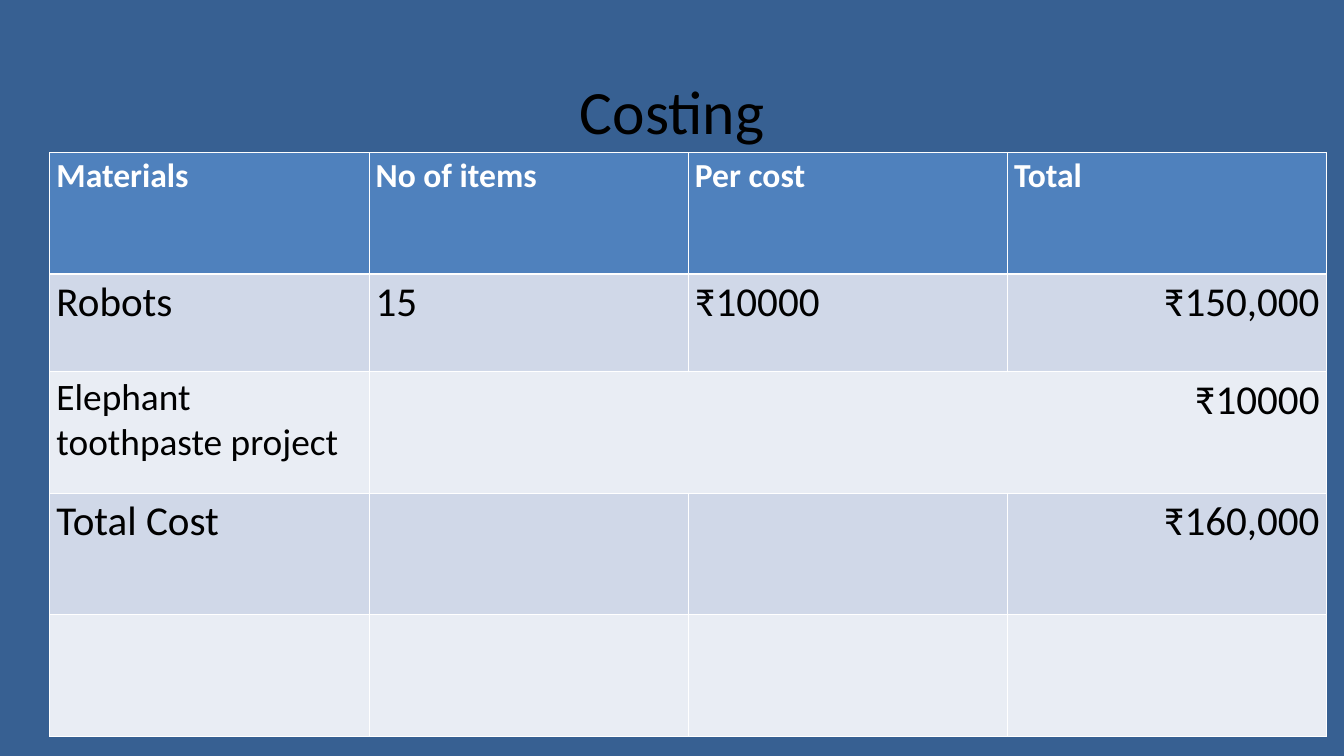
from lxml import etree
from pptx import Presentation
from pptx import util as u
from pptx.dml.color import RGBColor
from pptx.enum import text
from pptx.oxml.ns import qn

HEADERS = ["Materials", "No of items", "Per cost", "Total"]
COSTS = [
    ["Robots", "15", "₹10000", "₹150,000"],
    ["Elephant toothpaste project", "₹10000", "", ""],
    ["Total Cost", "", "", "₹160,000"],
    ["", "", "", ""],
]
ROW_HEIGHTS = [1.81, 1.45, 1.81, 1.81, 1.81]
PROJECT_ROW = 2


def color(value):
    return RGBColor.from_string(value)


class CostingSlide:
    font = "Calibri"
    background = "376092"
    ink = "000000"
    white = "FFFFFF"
    header_fill = "4F81BD"
    band_fills = ["D0D8E8", "E9EDF4"]

    def __init__(self, presentation):
        self.slide = presentation.slides.add_slide(presentation.slide_layouts[6])
        fill = self.slide.background.fill
        fill.solid()
        fill.fore_color.rgb = color(self.background)

    def add_words(self, frame, words, size, ink, align, bold=False):
        paragraph = frame.paragraphs[0]
        paragraph.alignment = align
        run = paragraph.add_run()
        run.text = words
        run.font.name = self.font
        run.font.size = u.Pt(size)
        run.font.bold = bold
        run.font.color.rgb = color(ink)

    def title(self, words, left, top, width, height):
        box = self.slide.shapes.add_textbox(
            u.Inches(left), u.Inches(top), u.Inches(width), u.Inches(height))
        frame = box.text_frame
        frame.word_wrap = True
        frame.auto_size = text.MSO_AUTO_SIZE.SHAPE_TO_FIT_TEXT
        self.add_words(frame, words, 66, self.ink, text.PP_ALIGN.CENTER)

    def borders(self, cell, **widths):
        """Draw white cell borders; widths are points by side letter, in L, R, T, B order."""
        properties = cell._tc.get_or_add_tcPr()
        for side, width in widths.items():
            line = etree.SubElement(properties, qn("a:ln" + side), w=str(u.Pt(width)))
            fill = etree.SubElement(line, qn("a:solidFill"))
            etree.SubElement(fill, qn("a:srgbClr"), val=self.white)

    def table(self, rows, left, top, column_width, row_heights):
        columns = len(rows[0])
        table = self.slide.shapes.add_table(
            len(rows), columns, u.Inches(left), u.Inches(top),
            u.Inches(column_width * columns), u.Inches(sum(row_heights))).table
        for column in table.columns:
            column.width = u.Inches(column_width)
        for row, height in zip(table.rows, row_heights):
            row.height = u.Inches(height)
        for r, row in enumerate(rows):
            for c, words in enumerate(row):
                self.cell(table.cell(r, c), words, r, c)
        return table

    def cell(self, cell, words, row, column):
        header = row == 0
        self.borders(cell, L=1, R=1, T=3 if row == 1 else 1, B=3 if header else 1)
        cell.fill.solid()
        cell.fill.fore_color.rgb = color(
            self.header_fill if header else self.band_fills[(row - 1) % 2])
        if not words:
            return
        amount = not header and (column == 3 or (row == PROJECT_ROW and column == 1))
        align = text.PP_ALIGN.RIGHT if amount else text.PP_ALIGN.LEFT
        if header:
            size = 36
        else:
            size = 40 if row == PROJECT_ROW and column == 0 else 44
        self.add_words(cell.text_frame, words, size,
                       self.white if header else self.ink, align, bold=header)


def main():
    presentation = Presentation()
    presentation.slide_width = u.Inches(20)
    presentation.slide_height = u.Inches(11.25)
    costing = CostingSlide(presentation)
    costing.title("Costing", 5, 1.04, 10, 1.21)
    table = costing.table([HEADERS] + COSTS, 0.74, 2.27, 4.75, ROW_HEIGHTS)
    table.cell(PROJECT_ROW, 1).merge(table.cell(PROJECT_ROW, 3))
    presentation.save("out.pptx")


if __name__ == "__main__":
    main()
